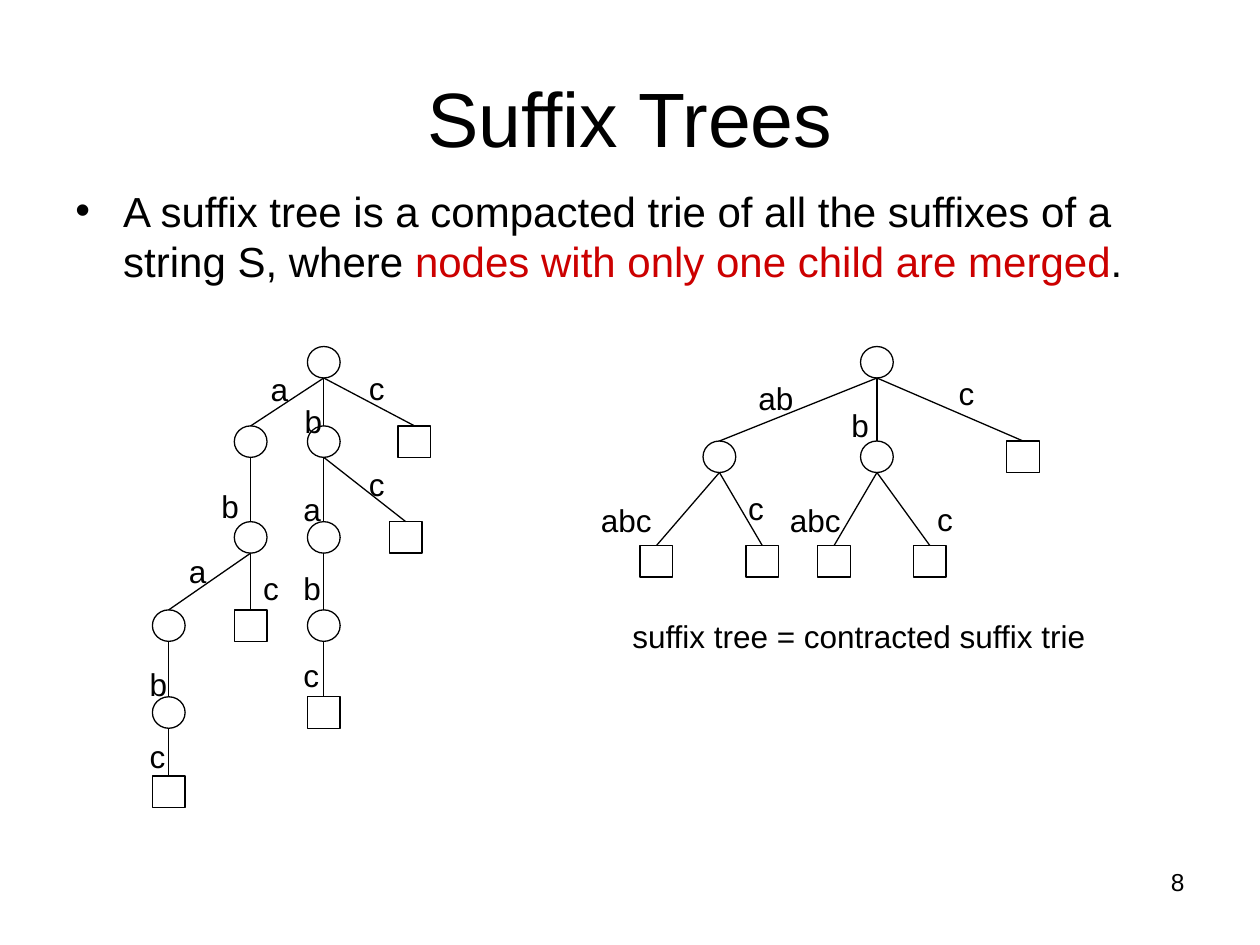
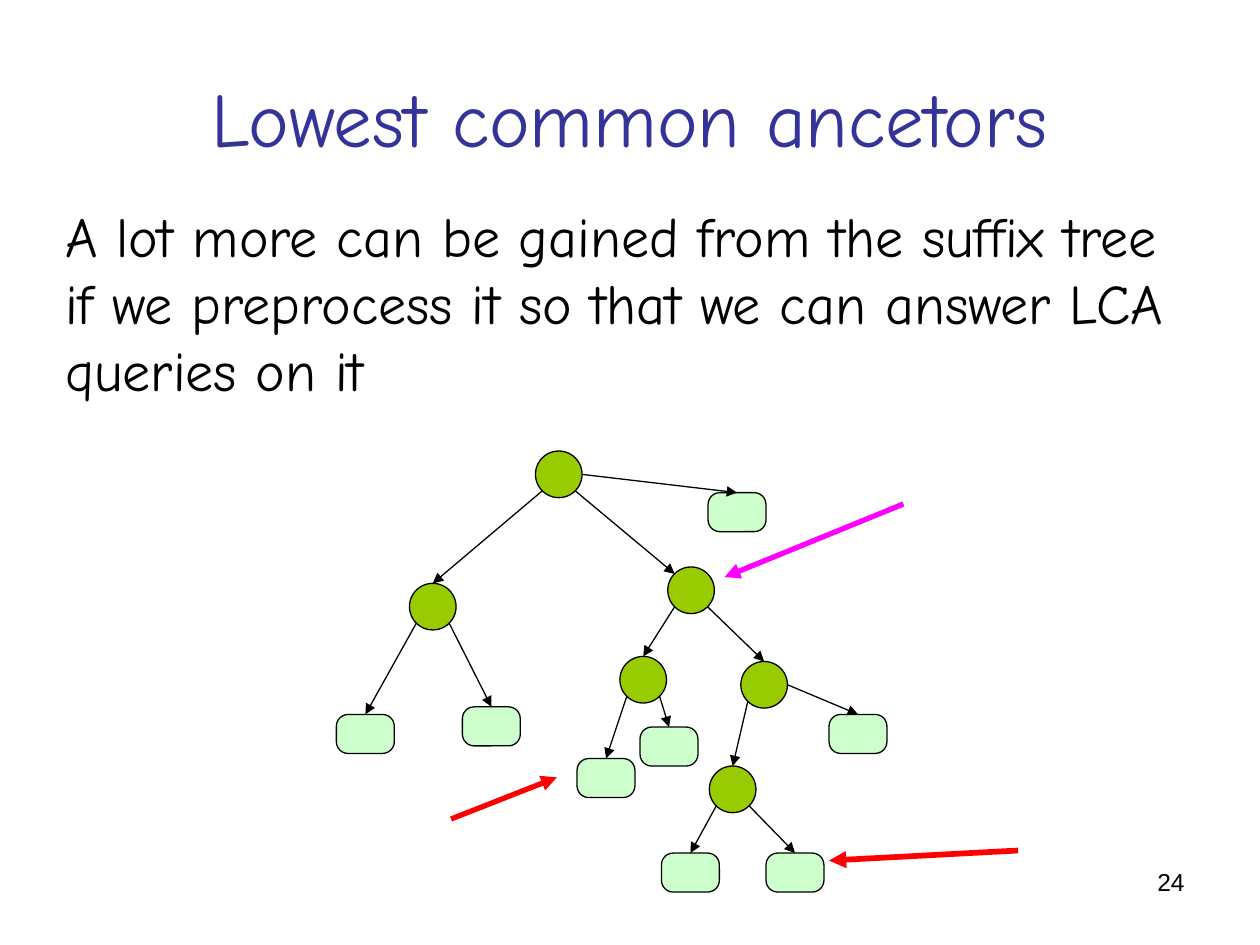
from lxml import etree
from pptx import Presentation
from pptx.dml.color import RGBColor
from pptx.enum.shapes import MSO_CONNECTOR, MSO_SHAPE
from pptx.enum.text import MSO_ANCHOR, PP_ALIGN
from pptx.oxml.ns import qn
from pptx.util import Inches, Pt

LINE = MSO_CONNECTOR.STRAIGHT
OVAL, RECT, ROUND = MSO_SHAPE.OVAL, MSO_SHAPE.RECTANGLE, MSO_SHAPE.ROUNDED_RECTANGLE
LEFT, CENTER, RIGHT = PP_ALIGN.LEFT, PP_ALIGN.CENTER, PP_ALIGN.RIGHT
TOP, MIDDLE = MSO_ANCHOR.TOP, MSO_ANCHOR.MIDDLE

SANS, COMIC = "Arial", "Comic Neue"
BLACK, CRIMSON, NAVY = "000000", "CC0000", "333399"
OLIVE, MINT, RED, PINK = "99CC00", "CCFFCC", "FF0000", "FF00FF"

# Tree nodes: name -> (x, y) from the tree's corner
# Trie edges: (parent, child, label, label x, label y)
TRIE = {
    "root": (1.23, 0), "a": (0.65, 0.63), "b": (1.23, 0.63), "c": (1.95, 0.63),
    "ab": (0.65, 1.39), "ba": (1.23, 1.39), "bc": (1.88, 1.39),
    "aba": (0, 2.09), "abc": (0.65, 2.09), "bab": (1.23, 2.09),
    "abab": (0, 2.78), "babc": (1.23, 2.78), "ababc": (0, 3.41),
}
TRIE_EDGES = [
    ("root", "a", "a", 0.84, 0.14), ("root", "b", "b", 1.11, 0.39),
    ("root", "c", "c", 1.62, 0.13), ("a", "ab", "b", 0.45, 1.07),
    ("b", "ba", "a", 1.1, 1.09), ("b", "bc", "c", 1.62, 0.89),
    ("ab", "aba", "a", 0.19, 1.58), ("ab", "abc", "c", 0.78, 1.72),
    ("ba", "bab", "b", 1.1, 1.72), ("aba", "abab", "b", -0.12, 2.48),
    ("bab", "babc", "c", 1.1, 2.41), ("abab", "ababc", "c", -0.12, 3.05),
]
MERGED = {
    "root": (1.75, 0), "ab": (0.5, 0.75), "b": (1.75, 0.75), "c": (2.91, 0.75),
    "ababc": (0, 1.58), "abc": (0.84, 1.58), "babc": (1.41, 1.58), "bc": (2.17, 1.58),
}
MERGED_EDGES = [
    ("root", "ab", "ab", 0.84, 0.21), ("root", "b", "b", 1.58, 0.42),
    ("root", "c", "c", 2.43, 0.17), ("ab", "ababc", "abc", -0.41, 1.18),
    ("ab", "abc", "c", 0.76, 1.08), ("b", "babc", "abc", 1.09, 1.18),
    ("b", "bc", "c", 2.26, 1.17),
]

# Ancestor tree edges: (parent, child, exit point, entry point)
LCA = {
    "root": (1.58, 0), "left": (0.58, 1.05), "lca": (2.63, 0.92),
    "mid": (2.25, 1.63), "right": (3.21, 1.67), "low": (2.96, 2.5),
    "leaf1": (0, 2.09), "leaf2": (1, 2.03), "leaf3": (1.91, 2.44),
    "leaf4": (2.41, 2.19), "leaf5": (2.58, 3.19), "leaf6": (3.41, 3.19),
    "leaf7": (3.91, 2.09), "leaf8": (2.95, 0.33),
}
LCA_EDGES = [
    ("root", "left", "sw", "n"), ("root", "lca", "se", "nw"), ("root", "leaf8", "e", "n"),
    ("left", "leaf1", "sw", "n"), ("left", "leaf2", "se", "n"),
    ("lca", "mid", "sw", "n"), ("lca", "right", "se", "n"),
    ("mid", "leaf3", "sw", "n"), ("mid", "leaf4", "se", "n"),
    ("right", "low", "sw", "n"), ("right", "leaf7", "e", "n"),
    ("low", "leaf5", "sw", "n"), ("low", "leaf6", "se", "n"),
]
# Where each compass point lies on a node, as shares of its size
PORTS = {"n": (0.5, 0), "s": (0.5, 1), "e": (1, 0.5),
         "nw": (0.15, 0.15), "sw": (0.15, 0.85), "se": (0.85, 0.85)}


def color(code):
    return RGBColor.from_string(code)


def write(par, parts, size, font):
    """Fill a paragraph with (text, colour) runs."""
    for words, tint in parts:
        run = par.add_run()
        run.text = words
        run.font.size = Pt(size)
        run.font.name = font
        run.font.color.rgb = color(tint)


def text(shapes, box, parts, size, font=SANS, align=LEFT, anchor=TOP, wrap=True):
    frame = shapes.add_textbox(*map(Inches, box)).text_frame
    frame.word_wrap = wrap
    frame.vertical_anchor = anchor
    par = frame.paragraphs[0]
    par.alignment = align
    write(par, parts, size, font)
    return par


def line(shapes, start, end, tint=BLACK, width=0.75, arrow=False):
    link = shapes.add_connector(LINE, *map(Inches, (*start, *end)))
    link.line.color.rgb = color(tint)
    link.line.width = Pt(width)
    props = link._element.spPr
    if arrow:
        etree.SubElement(props.find(qn("a:ln")), qn("a:tailEnd"), type="triangle")
    etree.SubElement(props, qn("a:effectLst"))


def node(shapes, kind, box, fill=None):
    shape = shapes.add_shape(kind, *map(Inches, box))
    shape.shadow.inherit = False
    shape.line.color.rgb = color(BLACK)
    shape.line.width = Pt(0.75)
    if fill:
        shape.fill.solid()
        shape.fill.fore_color.rgb = color(fill)
    else:
        shape.fill.background()
    if kind == ROUND:
        shape.adjustments[0] = 0.3


def port(spot, size, side):
    """Point on the rim of a node."""
    return [at + long * share for at, long, share in zip(spot, size, PORTS[side])]


def base(deck, title, number, font, tint):
    """Blank slide with its title and page number."""
    shapes = deck.slides.add_slide(deck.slide_layouts[6]).shapes
    text(shapes, (0.5, 0.3, 9, 1.25), [(title, tint)], 44, font, CENTER, MIDDLE)
    text(shapes, (7.17, 6.83, 2.33, 0.52), [(number, BLACK)], 14, align=RIGHT)
    return shapes


def label_tree(shapes, left, top, nodes, edges):
    """Plain tree with a letter label on each edge."""
    group = shapes.add_group_shape().shapes
    size = (0.26, 0.25)
    inner = {edge[0] for edge in edges}
    spots = {name: (left + x, top + y) for name, (x, y) in nodes.items()}
    for name, spot in spots.items():
        node(group, OVAL if name in inner else RECT, (*spot, *size))
    for above, below, label, x, y in edges:
        line(group, port(spots[above], size, "s"), port(spots[below], size, "n"))
        # Margins plus room for each letter
        text(group, (left + x, top + y, 0.22 + 0.14 * len(label), 0.4),
             [(label, BLACK)], 18, wrap=False)


def arrow_tree(shapes, left, top, nodes, edges):
    """Coloured tree whose edges are arrows."""
    inner = {edge[0] for edge in edges}
    spots = {name: (left + x, top + y) for name, (x, y) in nodes.items()}
    sizes = {name: (0.37, 0.37) if name in inner else (0.46, 0.31) for name in nodes}
    for name, spot in spots.items():
        kind, fill = (OVAL, OLIVE) if name in inner else (ROUND, MINT)
        node(shapes, kind, (*spot, *sizes[name]), fill)
    for above, below, out, into in edges:
        line(shapes, port(spots[above], sizes[above], out),
             port(spots[below], sizes[below], into), arrow=True)


def suffix_slide(deck):
    shapes = base(deck, "Suffix Trees", "8", SANS, BLACK)
    # Definition
    par = text(shapes, (0.5, 1.42, 9, 1.1), [
        ("A suffix tree is a compacted trie of all the suffixes of a string S, where ", BLACK),
        ("nodes with only one child are merged", CRIMSON),
        (".", BLACK)], 24)
    props = par._p.get_or_add_pPr()
    props.set("marL", str(Inches(0.38)))
    props.set("indent", str(-Inches(0.38)))
    etree.SubElement(props, qn("a:buFont"), typeface=SANS)
    etree.SubElement(props, qn("a:buChar"), char="•")
    # Trie and its merged form
    label_tree(shapes, 1.21, 2.75, TRIE, TRIE_EDGES)
    label_tree(shapes, 5.08, 2.75, MERGED, MERGED_EDGES)
    text(shapes, (4.92, 4.85, 3.8, 0.4),
         [("suffix tree = contracted suffix trie", BLACK)], 18, wrap=False)


def lca_slide(deck):
    shapes = base(deck, "Lowest common ancetors", "24", COMIC, NAVY)
    text(shapes, (0.42, 1.55, 9.17, 1.7), [
        ("A lot more can be gained from the suffix tree if we preprocess it "
         "so that we can answer LCA queries on it", BLACK)], 32, COMIC)
    arrow_tree(shapes, 2.67, 3.58, LCA, LCA_EDGES)
    # Pointers to two leaves and their ancestor
    line(shapes, (8.08, 6.75), (6.58, 6.83), RED, 3.25, True)
    line(shapes, (3.58, 6.5), (4.42, 6.17), RED, 3, True)
    line(shapes, (7.17, 4), (5.75, 4.58), PINK, 3, True)


def main():
    deck = Presentation()
    deck.slide_width, deck.slide_height = Inches(10), Inches(7.5)
    suffix_slide(deck)
    lca_slide(deck)
    deck.save("out.pptx")


if __name__ == "__main__":
    main()
